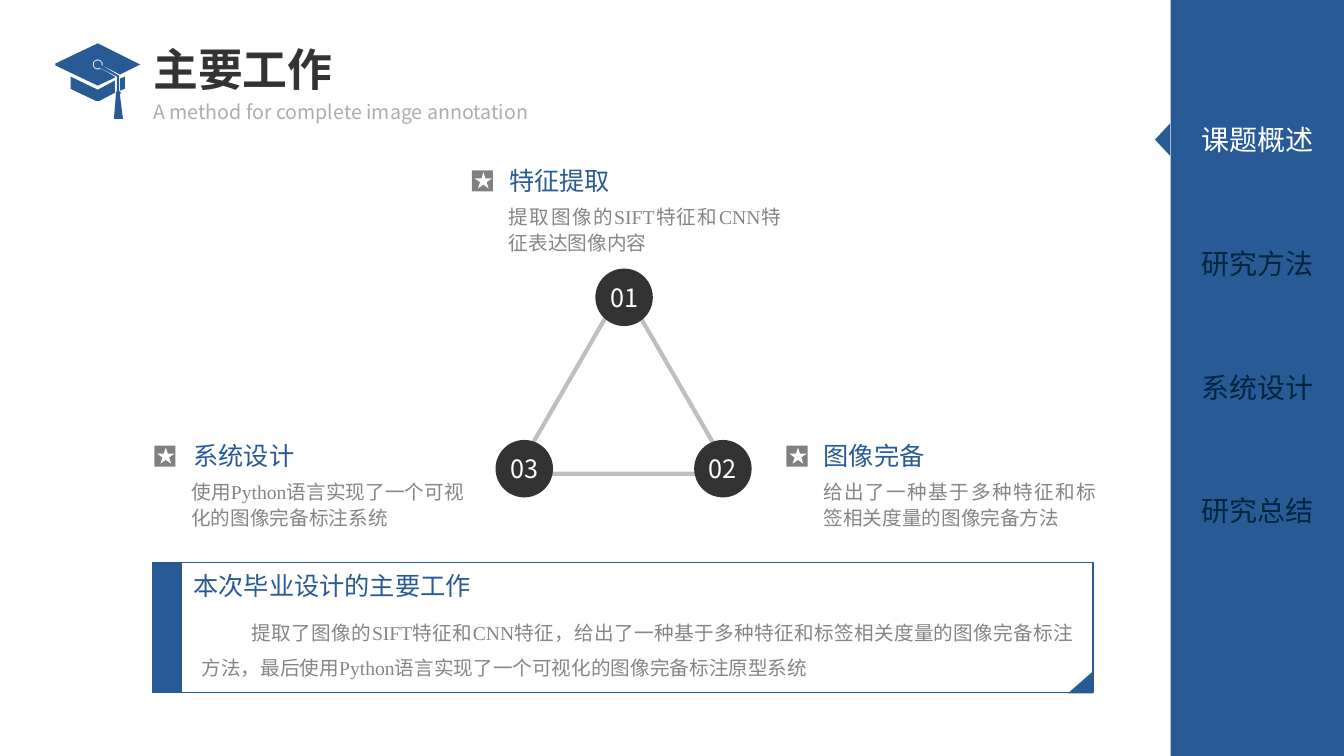
from itertools import groupby
from math import cos, radians, sin

from pptx import Presentation
from pptx.dml.color import RGBColor
from pptx.enum import shapes as sh, text as tx
from pptx.oxml import parse_xml
from pptx.oxml.ns import nsdecls
from pptx.util import Inches, Pt

BLUE = RGBColor(0x28, 0x5A, 0x96)
NAVY = RGBColor(0x00, 0x25, 0x3C)
DARK = RGBColor(0x33, 0x33, 0x33)
GRAY = RGBColor(0x80, 0x80, 0x80)
BODY = RGBColor(0x85, 0x85, 0x85)
PALE = RGBColor(0xAD, 0xAD, 0xAD)
RULE = RGBColor(0xBF, 0xBF, 0xBF)
WHITE = RGBColor(0xFF, 0xFF, 0xFF)
SANS, SERIF = "Noto Sans CJK SC", "Times New Roman"
KIND = sh.MSO_SHAPE
ALIGN = tx.PP_ALIGN


def write(frame, words, size=14, color=BODY, bold=False, align=None,
          spacing=None, indent=0, latin=SANS):
    """Fill a text frame; runs of ASCII letters take the latin font."""
    frame.word_wrap = True
    par = frame.paragraphs[0]
    par.alignment, par.line_spacing = align, spacing
    if indent:
        par._p.get_or_add_pPr().set("indent", str(Inches(indent)))
    for ascii_run, chars in groupby(words, key=str.isascii):
        run = par.add_run()
        run.text = "".join(chars)
        font = run.font
        font.size, font.bold, font.color.rgb = Pt(size), bold, color
        font.name = latin if ascii_run else SANS
        run._r.rPr.append(parse_xml(
            f'<a:ea {nsdecls("a")} typeface="{SANS}"/>'))


def label(slide, words, box, **style):
    area = slide.shapes.add_textbox(*map(Inches, box))
    write(area.text_frame, words, **style)


def paint(shape, fill=None, line=None, width=1):
    shape.shadow.inherit = False
    if fill is None:
        shape.fill.background()
    else:
        shape.fill.solid()
        shape.fill.fore_color.rgb = fill
    if line is None:
        shape.line.fill.background()
    else:
        shape.line.color.rgb, shape.line.width = line, Pt(width)


def block(parent, kind, box, **look):
    shape = parent.shapes.add_shape(kind, *map(Inches, box))
    paint(shape, **look)
    return shape


def arc(radius, start, stop, steps=16):
    """Points around the button on top of the cap."""
    turns = [radians(start + (stop - start) * i / steps)
             for i in range(steps + 1)]
    return [(0.97 + radius * cos(t), 0.64 + radius * sin(t)) for t in turns]


def draw_cap(slide):
    edge = [(1.19, 0.9), (1.24, 0.88), (1.24, 0.76), (1.19, 0.78)]
    base = [(0.7, 0.76), (0.7, 0.88), (0.78, 0.92), (0.95, 1), (0.99, 1),
            (1.14, 0.92), (1.14, 0.8), (0.97, 0.89)]
    cord = [(1.18, 0.75), *arc(0.04, 372, 53), (1.16, 0.76)]
    board = [(1.39, 0.64), (0.97, 0.43), (0.55, 0.63), (0.55, 0.65),
             (0.97, 0.85), (1.14, 0.77), (1.14, 0.76),
             *arc(0.05, 53, 372), (1.19, 0.74)]
    tassel = [(1.18, 0.75), (1.18, 0.9), (1.2, 0.92), (1.19, 0.94),
              (1.22, 1.18), (1.13, 1.18), (1.15, 0.94), (1.15, 0.92),
              (1.16, 0.9), (1.16, 0.76)]
    parts = [[(Inches(x), Inches(y)) for x, y in part]
             for part in (edge, base, cord, board, tassel)]
    pen = slide.shapes.build_freeform(*parts[0][0], scale=1)
    pen.add_line_segments(parts[0][1:])
    for part in parts[1:]:
        pen.move_to(*part[0])
        pen.add_line_segments(part[1:])
    paint(pen.convert_to_shape(), fill=BLUE)


def draw_menu(slide):
    block(slide, KIND.RECTANGLE, (11.61, 0, 1.72, 7.5), fill=BLUE)
    mark = block(slide, KIND.ISOSCELES_TRIANGLE, (11.37, 1.31, 0.32, 0.15),
                 fill=BLUE)
    mark.rotation = 270
    for i, name in enumerate(("课题概述", "研究方法", "系统设计", "研究总结")):
        label(slide, name, (11.71, 1.17 + 1.227 * i, 1.52, 0.44), size=20,
              color=NAVY if i else WHITE, align=ALIGN.CENTER)


def draw_node(slide, number, x, y):
    block(slide, KIND.OVAL, (x - 0.285, y - 0.285, 0.57, 0.57), fill=DARK)
    label(slide, number, (x - 0.27, y - 0.2, 0.54, 0.4), size=18,
          color=WHITE, align=ALIGN.CENTER)


def draw_topic(slide, head, words, x, y, shift=0):
    """Starred heading with its text; shift moves the heading sideways."""
    label(slide, head, (x + shift, y, 1.89, 0.4), size=18, color=BLUE)
    badge = slide.shapes.add_group_shape()
    for kind, box, fill in (
            (KIND.RECTANGLE, (x - 0.27, y + 0.1, 0.21, 0.21), GRAY),
            (KIND.STAR_5_POINT, (x - 0.24, y + 0.12, 0.17, 0.16), WHITE)):
        shape = badge.shapes.add_shape(kind, *map(Inches, box))
        paint(shape, fill=fill)
    label(slide, words, (x, y + 0.37, 2.9, 0.6), align=ALIGN.JUSTIFY,
          spacing=1.1, latin=SERIF)


def draw_summary(slide):
    block(slide, KIND.RECTANGLE, (1.51, 5.58, 0.29, 1.29), fill=BLUE,
          line=BLUE)
    label(slide, "提取了图像的SIFT特征和CNN特征，给出了一种基于多种特征和标签"
          "相关度量的图像完备标注方法，最后使用Python语言实现了一个可视化的"
          "图像完备标注原型系统", (1.9, 5.99, 8.85, 0.77),
          align=ALIGN.JUSTIFY, spacing=1.5, indent=0.5, latin=SERIF)
    label(slide, "本次毕业设计的主要工作", (1.82, 5.61, 4.37, 0.4), size=18,
          color=BLUE)
    block(slide, KIND.RECTANGLE, (1.8, 5.58, 9.04, 1.29), line=BLUE)
    fold = block(slide, KIND.ISOSCELES_TRIANGLE, (10.59, 6.66, 0.25, 0.22),
                 fill=BLUE)
    fold.adjustments[0] = 1


def main():
    deck = Presentation()
    deck.slide_width, deck.slide_height = Inches(13.33), Inches(7.5)
    slide = deck.slides.add_slide(deck.slide_layouts[5])
    title = slide.shapes.title
    title.left, title.top, title.width, title.height = map(
        Inches, (1.42, 0.34, 5.75, 0.75))
    title.text_frame.vertical_anchor = tx.MSO_ANCHOR.MIDDLE
    write(title.text_frame, "主要工作", size=32, color=DARK, bold=True,
          align=ALIGN.LEFT, spacing=0.9)
    draw_cap(slide)
    label(slide, "A method for complete image annotation",
          (1.42, 0.94, 4.2, 0.34), color=PALE)
    draw_menu(slide)

    block(slide, KIND.ISOSCELES_TRIANGLE, (5.11, 2.85, 2.14, 1.85),
          line=RULE, width=3)
    for number, x, y in (("01", 6.19, 2.95), ("02", 7.17, 4.65),
                         ("03", 5.2, 4.65)):
        draw_node(slide, number, x, y)
    draw_topic(slide, "特征提取", "提取图像的SIFT特征和CNN特征表达图像内容",
               4.95, 1.59)
    draw_topic(slide, "图像完备",
               "给出了一种基于多种特征和标签相关度量的图像完备方法", 8.07, 4.32)
    draw_topic(slide, "系统设计",
               "使用Python语言实现了一个可视化的图像完备标注系统",
               1.8, 4.32, shift=0.02)
    draw_summary(slide)
    deck.save("out.pptx")


if __name__ == "__main__":
    main()
